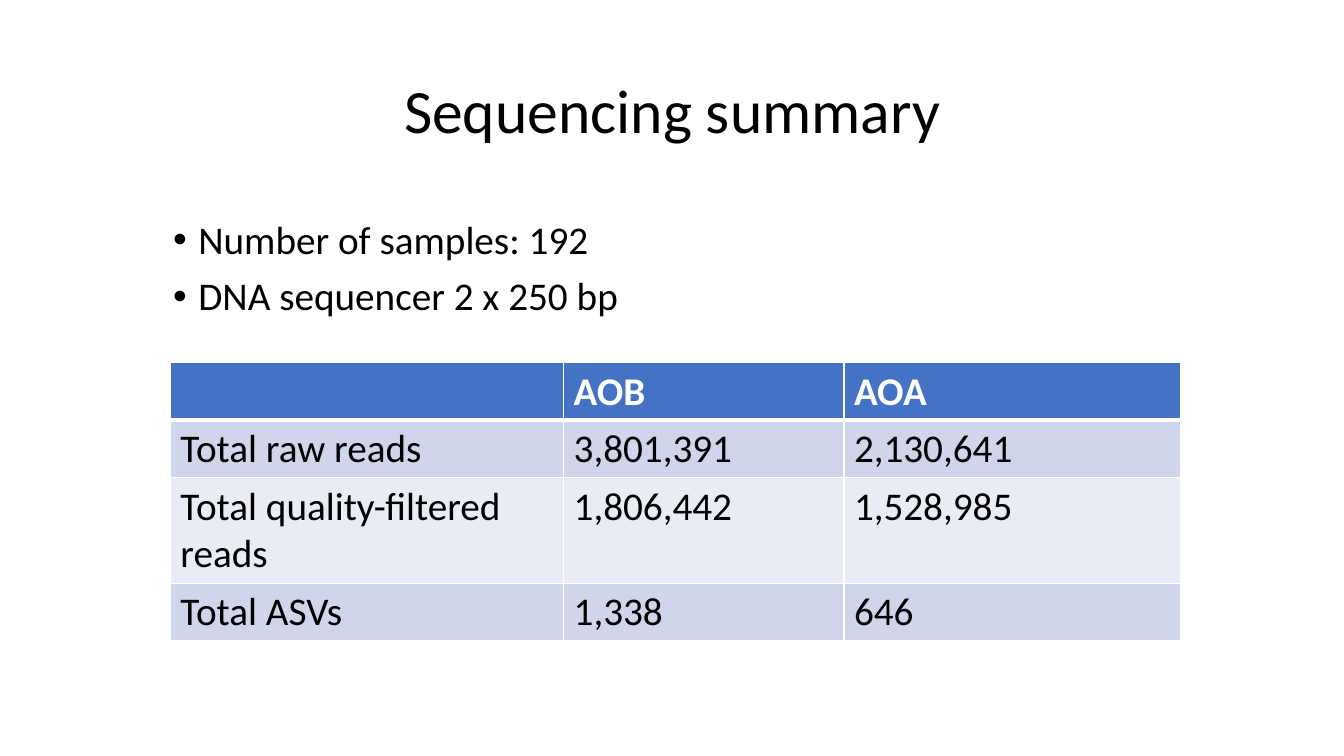
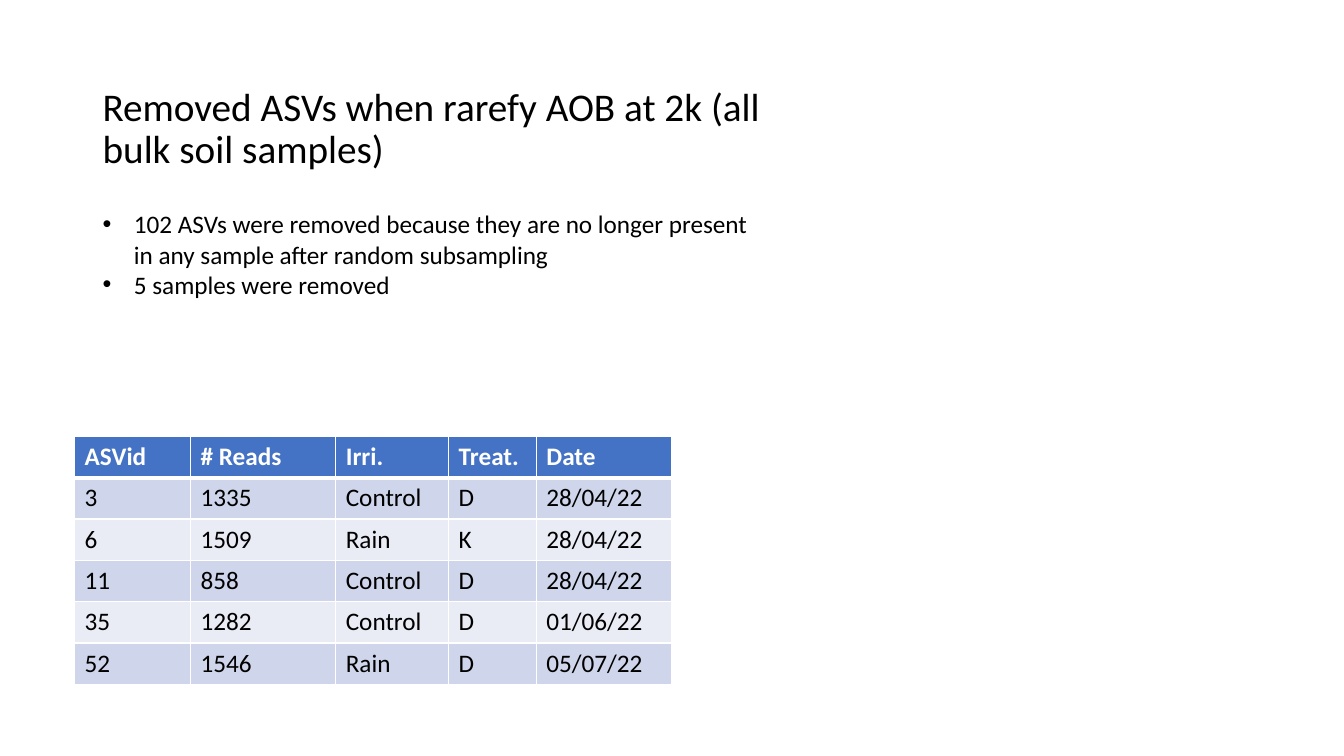
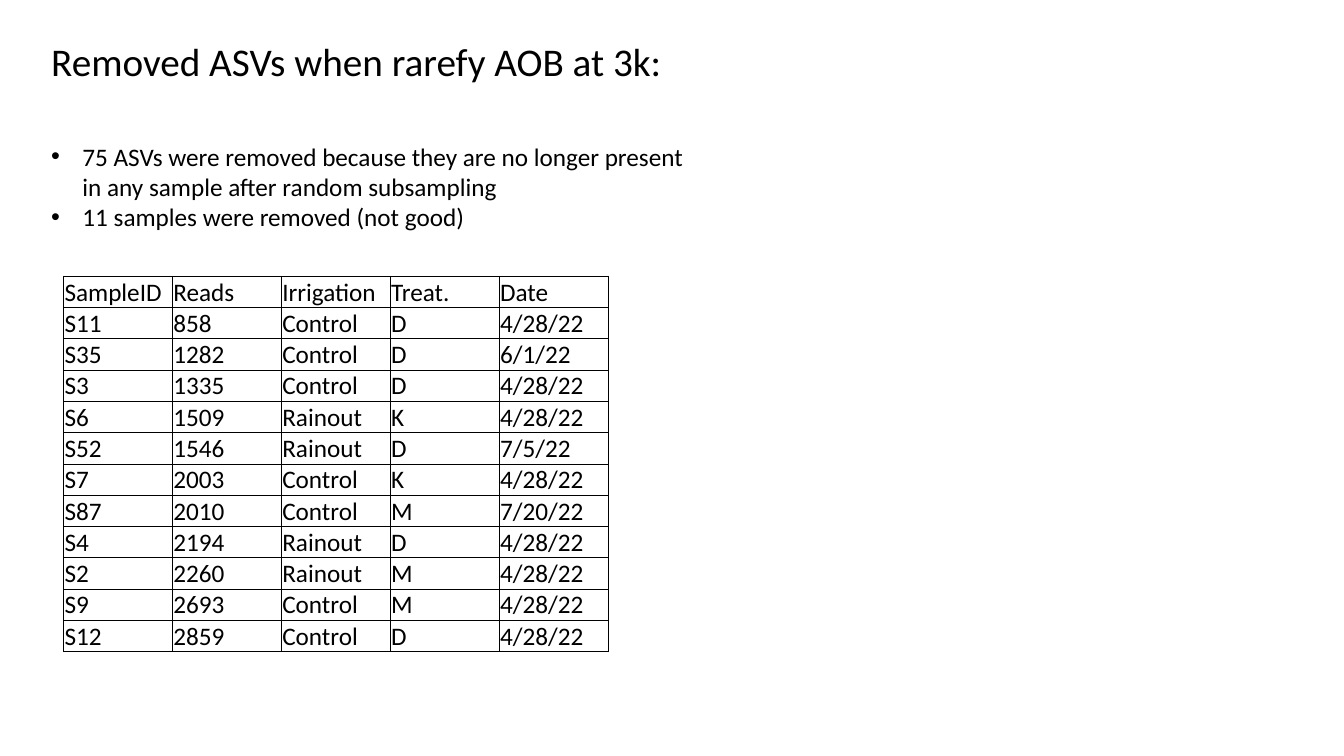
from dataclasses import dataclass
from lxml.etree import SubElement
from pptx import Presentation
from pptx.dml.color import RGBColor
from pptx.enum.text import MSO_ANCHOR, PP_ALIGN
from pptx.oxml.ns import qn
from pptx.util import Inches, Pt


@dataclass(frozen=True)
class Theme:
    font: str = "Calibri"
    text: str = "000000"
    light: str = "FFFFFF"
    header: str = "4472C4"
    bands: tuple = ("CFD5EA", "E9EBF5")
    title: int = 44
    large: int = 28
    body: int = 18


THEME = Theme()


def add_run(p, text, size, color=THEME.text, bold=False):
    r = p.add_run()
    r.text = text
    r.font.name = THEME.font
    r.font.size = Pt(size)
    r.font.bold = bold
    r.font.color.rgb = RGBColor.from_string(color)


def add_box(s, left, top, width, height, anchor=MSO_ANCHOR.TOP):
    box = s.shapes.add_textbox(Inches(left), Inches(top), Inches(width), Inches(height))
    tf = box.text_frame
    tf.word_wrap = True
    tf.vertical_anchor = anchor
    return tf


def add_title(s, text, at, size=THEME.large, align=PP_ALIGN.LEFT):
    p = add_box(s, *at, anchor=MSO_ANCHOR.MIDDLE).paragraphs[0]
    p.alignment = align
    p.line_spacing = 0.9
    add_run(p, text, size)


def add_bullets(s, items, at, size=THEME.body, indent=0.31, spacing=1.0, gap=0):
    tf = add_box(s, *at)
    for i, text in enumerate(items):
        p = tf.add_paragraph() if i else tf.paragraphs[0]
        pPr = p._p.get_or_add_pPr()
        pPr.set("marL", str(Inches(indent)))
        pPr.set("indent", str(-Inches(indent)))
        SubElement(pPr, qn("a:buFont"), typeface="Arial")
        SubElement(pPr, qn("a:buChar"), char="•")
        p.line_spacing = spacing
        p.space_before = Pt(gap if i else 0)
        add_run(p, text, size)


def set_borders(cell, color, width, top=None, bottom=None):
    tcPr = cell._tc.get_or_add_tcPr()
    widths = {"L": width, "R": width, "T": top or width, "B": bottom or width}
    for side, points in widths.items():
        ln = SubElement(tcPr, qn(f"a:ln{side}"), w=str(Pt(points)))
        fill = SubElement(ln, qn("a:solidFill"))
        SubElement(fill, qn("a:srgbClr"), val=color)


def add_grid(s, rows, left, top, widths, heights):
    frame = s.shapes.add_table(
        len(rows), len(widths), Inches(left), Inches(top),
        Inches(sum(widths)), Inches(sum(heights)))
    table = frame.table
    for column, width in zip(table.columns, widths):
        column.width = Inches(width)
    for row, height in zip(table.rows, heights):
        row.height = Inches(height)
    return table


def fill_cells(table, rows):
    for i, values in enumerate(rows):
        for j, text in enumerate(values):
            yield i, table.cell(i, j), text


def add_banded_table(s, rows, left, top, widths, heights, size):
    table = add_grid(s, rows, left, top, widths, heights)
    for i, cell, text in fill_cells(table, rows):
        set_borders(cell, THEME.light, 1, top=3 if i == 1 else 1, bottom=1 if i else 3)
        cell.fill.solid()
        fill = THEME.bands[(i - 1) % 2] if i else THEME.header
        cell.fill.fore_color.rgb = RGBColor.from_string(fill)
        if text:
            color = THEME.text if i else THEME.light
            add_run(cell.text_frame.paragraphs[0], text, size, color, bold=i == 0)


def add_ruled_table(s, rows, left, top, widths, heights, size):
    table = add_grid(s, rows, left, top, widths, heights)
    table.first_row = table.horz_banding = False
    for _, cell, text in fill_cells(table, rows):
        set_borders(cell, THEME.text, 0.5)
        cell.fill.background()
        cell.vertical_anchor = MSO_ANCHOR.BOTTOM
        cell.margin_left = cell.margin_right = cell.margin_top = Inches(0.01)
        cell.margin_bottom = 0
        add_run(cell.text_frame.paragraphs[0], text, size)


def build_summary(s):
    add_title(s, "Sequencing summary", (0.92, 0.4, 11.5, 1.45), THEME.title, PP_ALIGN.CENTER)
    add_bullets(s, ["Number of samples: 192", "DNA sequencer 2 x 250 bp"],
                (1.62, 2.14, 10.1, 1.17), THEME.large, indent=0.25, spacing=0.9, gap=10)
    rows = [
        ("", "AOB", "AOA"),
        ("Total raw reads", "3,801,391", "2,130,641"),
        ("Total quality-filtered reads", "1,806,442", "1,528,985"),
        ("Total ASVs", "1,338", "646"),
    ]
    add_banded_table(s, rows, 1.69, 3.6, [3.9, 2.78, 3.34],
                     [0.57, 0.57, 1.05, 0.57], THEME.large)


def build_rarefy_2k(s):
    add_title(s, "Removed ASVs when rarefy AOB at 2k (all bulk soil samples)",
              (0.92, 0.84, 7.47, 0.89))
    rows = [
        ("ASVid", "# Reads", "Irri.", "Treat.", "Date"),
        ("3", "1335", "Control", "D", "28/04/22"),
        ("6", "1509", "Rain", "K", "28/04/22"),
        ("11", "858", "Control", "D", "28/04/22"),
        ("35", "1282", "Control", "D", "01/06/22"),
        ("52", "1546", "Rain", "D", "05/07/22"),
    ]
    add_banded_table(s, rows, 0.74, 4.33, [1.15, 1.44, 1.12, 0.87, 1.34],
                     [0.41] * len(rows), THEME.body)
    add_bullets(s, ["102 ASVs were removed because they are no longer present "
                    "in any sample after random subsampling",
                    "5 samples were removed"], (0.92, 2.02, 6.67, 1.01))


def build_rarefy_3k(s):
    add_title(s, "Removed ASVs when rarefy AOB at 3k:", (0.41, 0.19, 6.25, 0.89))
    add_bullets(s, ["75 ASVs were removed because they are no longer present "
                    "in any sample after random subsampling",
                    "11 samples were removed (not good)"], (0.41, 1.35, 6.67, 1.01))
    rows = [
        ("SampleID", "Reads", "Irrigation", "Treat.", "Date"),
        ("S11", "858", "Control", "D", "4/28/22"),
        ("S35", "1282", "Control", "D", "6/1/22"),
        ("S3", "1335", "Control", "D", "4/28/22"),
        ("S6", "1509", "Rainout", "K", "4/28/22"),
        ("S52", "1546", "Rainout", "D", "7/5/22"),
        ("S7", "2003", "Control", "K", "4/28/22"),
        ("S87", "2010", "Control", "M", "7/20/22"),
        ("S4", "2194", "Rainout", "D", "4/28/22"),
        ("S2", "2260", "Rainout", "M", "4/28/22"),
        ("S9", "2693", "Control", "M", "4/28/22"),
        ("S12", "2859", "Control", "D", "4/28/22"),
    ]
    add_ruled_table(s, rows, 0.63, 2.74, [1.08] * 5, [0.31] * len(rows), THEME.body)


def main():
    prs = Presentation()
    prs.slide_width = Inches(13.33)
    prs.slide_height = Inches(7.5)
    for build in (build_summary, build_rarefy_2k, build_rarefy_3k):
        build(prs.slides.add_slide(prs.slide_layouts[6]))
    prs.save("out.pptx")


if __name__ == "__main__":
    main()
